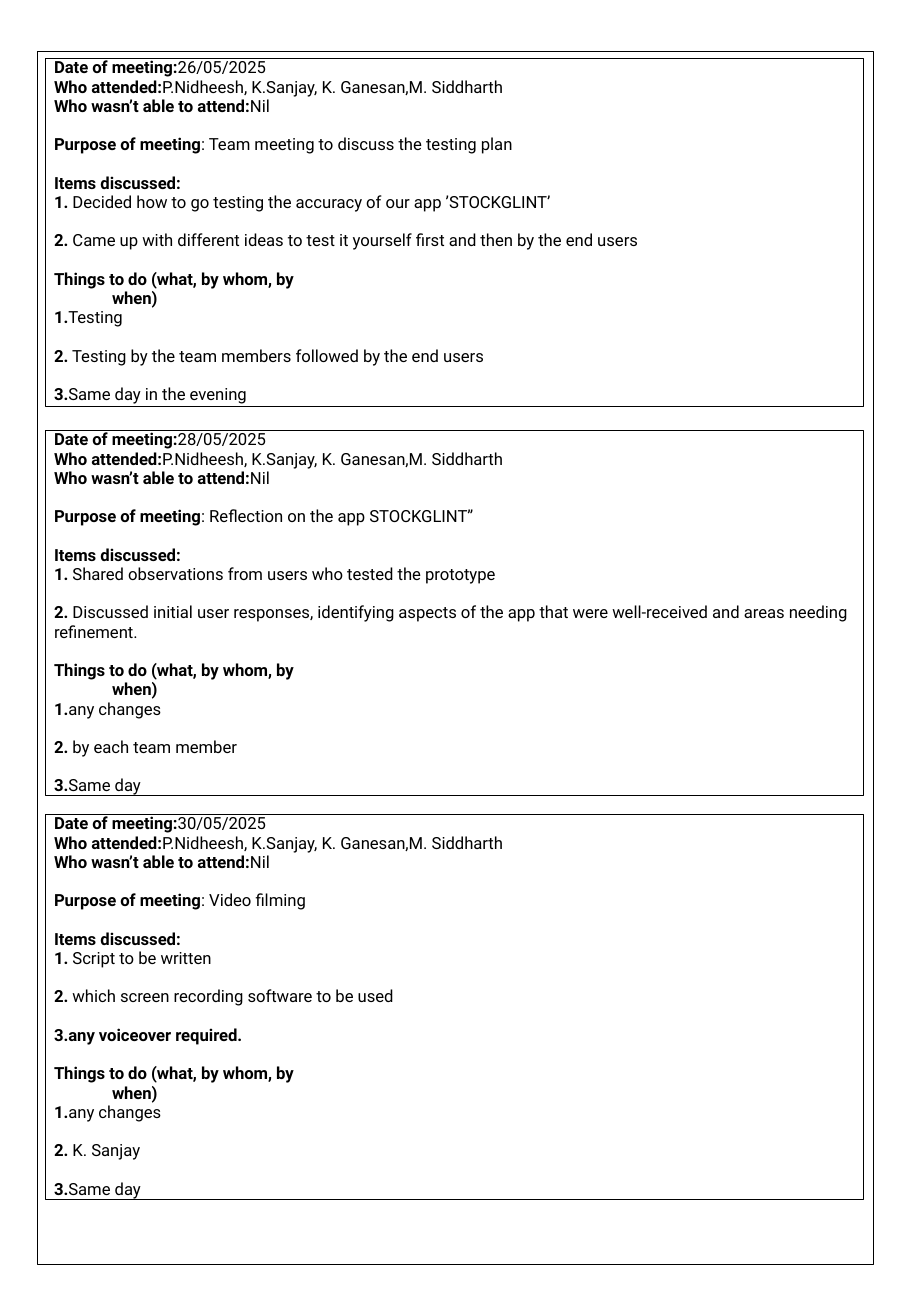
from pptx import Presentation
from pptx.dml.color import RGBColor
from pptx.enum.shapes import MSO_SHAPE
from pptx.enum.text import MSO_ANCHOR, PP_ALIGN
from pptx.util import Pt

RECT = MSO_SHAPE.RECTANGLE
TOP = MSO_ANCHOR.TOP
LEFT = PP_ALIGN.LEFT
BLACK = RGBColor(0x00, 0x00, 0x00)
PX = 7526

TEAM = "P.Nidheesh, K.Sanjay, K. Ganesan,M. Siddharth"
TODO = "Things to do (what, by whom, by\vwhen)"

MEETINGS = [
    {
        "top": 58, "height": 348, "date": "26/05/2025",
        "purpose": ": Team meeting to discuss the testing plan",
        "items": [
            ("1.", " Decided how to go testing the accuracy of our app ’STOCKGLINT’"),
            ("2.", " Came up with different ideas to test it yourself first and then by the end users"),
        ],
        "tasks": [
            ("1.", "Testing"),
            ("2.", " Testing by the team members followed by the end users"),
            ("3.", "Same day in the evening"),
        ],
    },
    {
        "top": 430, "height": 366, "date": "28/05/2025",
        "purpose": ": Reflection on the app STOCKGLINT’’",
        "items": [
            ("1.", " Shared observations from users who tested the prototype"),
            ("2.", " Discussed initial user responses, identifying aspects of the app "
                   "that were well-received and areas needing refinement."),
        ],
        "tasks": [
            ("1.", "any changes"),
            ("2.", " by each team member"),
            ("3.", "Same day"),
        ],
    },
    {
        "top": 814, "height": 386, "date": "30/05/2025",
        "purpose": ": Video filming",
        "items": [
            ("1.", " Script to be written"),
            ("2.", " which screen recording software to be used"),
            ("3.any voiceover required.", ""),
        ],
        "tasks": [
            ("1.", "any changes"),
            ("2.", " K. Sanjay"),
            ("3.", "Same day"),
        ],
    },
]


class Sheet:
    frame = {"word_wrap": True, "vertical_anchor": TOP, "margin_left": 0,
             "margin_right": 0, "margin_top": 0, "margin_bottom": 0}
    para = {"alignment": LEFT, "line_spacing": Pt(11.4)}
    font = {"name": "Roboto", "size": Pt(9.9)}
    gap = Pt(11.4)
    inset = 9
    hang = 58

    def __init__(self, slide):
        self.slide = slide

    def apply(self, item, style):
        for key, value in style.items():
            setattr(item, key, value)

    def box(self, left, top, width, height):
        box = self.slide.shapes.add_shape(
            RECT, left * PX, top * PX, width * PX, height * PX)
        box.shadow.inherit = False
        box.fill.background()
        box.line.color.rgb = BLACK
        box.line.width = Pt(0.5)
        return box

    def run(self, para, text, bold):
        for count, part in enumerate(text.split("\v")):
            if count:
                para.add_line_break()
            run = para.add_run()
            run.text = part
            self.apply(run.font, {**self.font, "bold": bold})
            run.font.color.rgb = BLACK

    def text(self, box, lines):
        frame = box.text_frame
        self.apply(frame, self.frame)
        for count, (label, value, apart) in enumerate(lines):
            para = frame.add_paragraph() if count else frame.paragraphs[0]
            space = self.gap if apart else Pt(0)
            self.apply(para, {**self.para, "space_before": space})
            hang = self.hang if "\v" in label else 0
            props = para._p.get_or_add_pPr()
            props.set("marL", str((self.inset + hang) * PX))
            props.set("indent", str(-hang * PX))
            self.run(para, label, True)
            if value:
                self.run(para, value, False)


def spaced(pairs):
    return [(label, value, count > 0)
            for count, (label, value) in enumerate(pairs)]


def minutes(meet):
    return [
        ("Date of meeting:", meet["date"], False),
        ("Who attended:", TEAM, False),
        ("Who wasn’t able to attend:", "Nil", False),
        ("Purpose of meeting", meet["purpose"], True),
        ("Items discussed:", "", True),
        *spaced(meet["items"]),
        (TODO, "", True),
        *spaced(meet["tasks"]),
    ]


def main():
    deck = Presentation()
    deck.slide_width = 911 * PX
    deck.slide_height = 1316 * PX
    sheet = Sheet(deck.slides.add_slide(deck.slide_layouts[6]))
    sheet.box(37, 51, 837, 1214)
    for meet in MEETINGS:
        box = sheet.box(45, meet["top"], 818, meet["height"])
        sheet.text(box, minutes(meet))
    deck.save("out.pptx")


if __name__ == "__main__":
    main()
